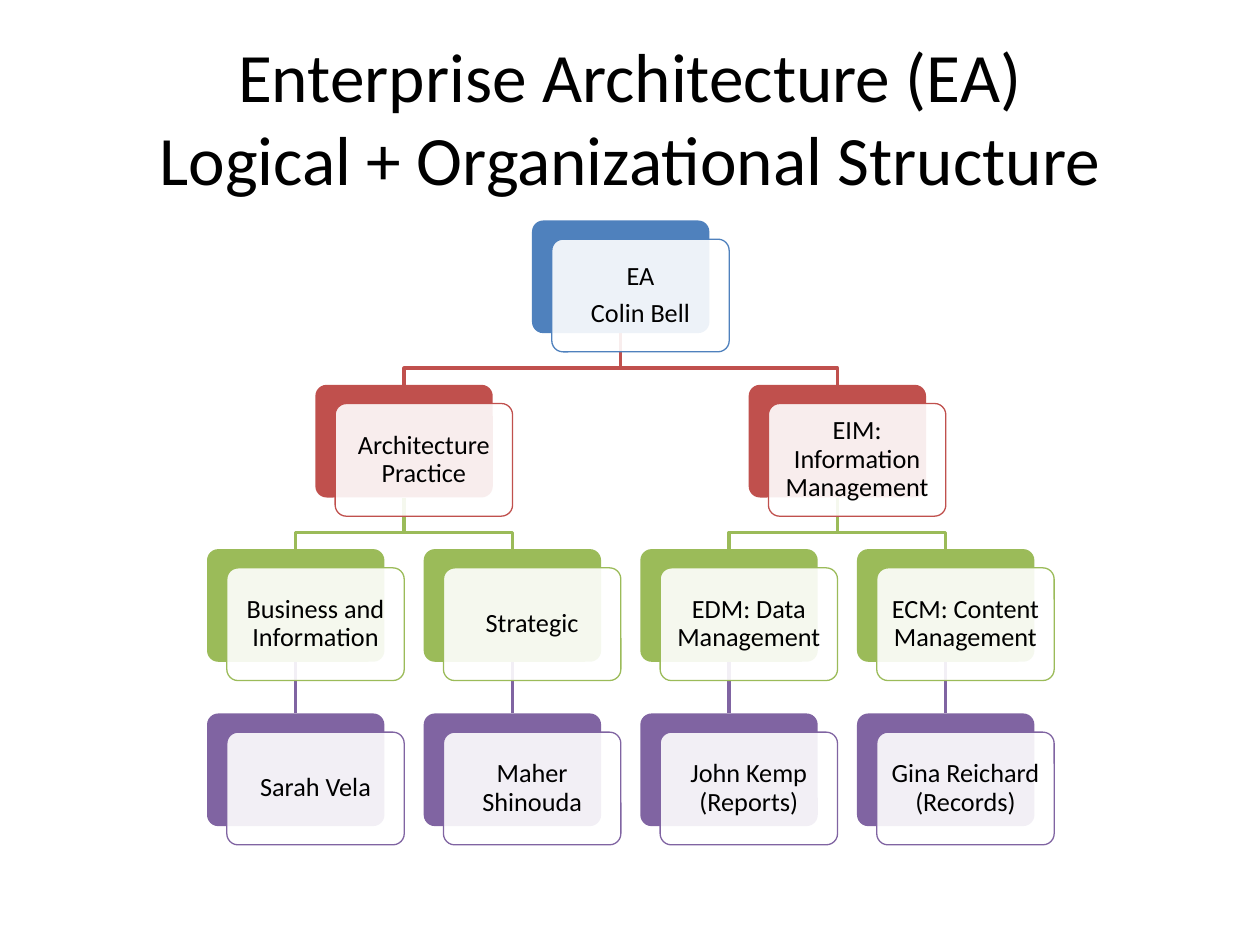
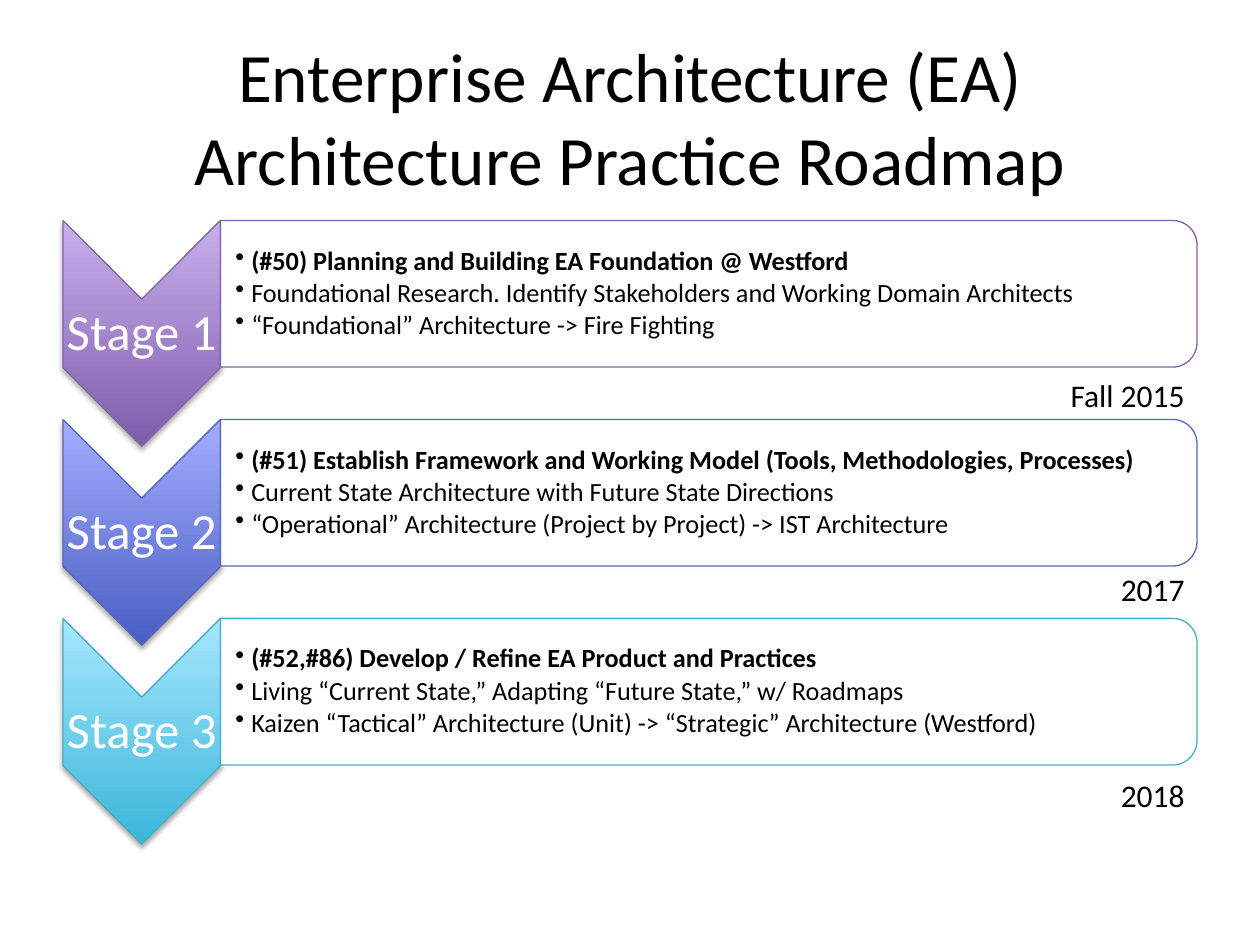
from lxml import etree
from pptx import Presentation
from pptx.dml.color import RGBColor
from pptx.enum.shapes import MSO_CONNECTOR, MSO_SHAPE
from pptx.enum.text import MSO_ANCHOR, PP_ALIGN
from pptx.oxml.ns import qn
from pptx.util import Pt

FONT = "Calibri"
BLACK, WHITE = "000000", "FFFFFF"
TITLE_TOP_LINE = "Enterprise Architecture (EA)"

STRUCTURE_TITLE = [TITLE_TOP_LINE, "Logical + Organizational Structure"]
LEVEL_COLORS = ["4F81BD", "C0504D", "9BBB59", "8064A2"]
ORGANIZATION = (["EA", "Colin Bell"], [
    (["Architecture Practice"], [
        (["Business and Information"], [(["Sarah Vela"], [])]),
        (["Strategic"], [(["Maher Shinouda"], [])]),
    ]),
    (["EIM: Information Management"], [
        (["EDM: Data Management"], [(["John Kemp (Reports)"], [])]),
        (["ECM: Content Management"], [(["Gina Reichard (Records)"], [])]),
    ]),
])

ROADMAP_TITLE = [TITLE_TOP_LINE, "Architecture Practice Roadmap"]
STAGES = [
    dict(name="Stage 1", date="Fall 2015", date_top=211.5,
         dark="7F5BAB", light="C8B0ED", edge="8064A2", points=[
             "(#50) Planning and Building EA Foundation @ Westford",
             "Foundational Research. Identify Stakeholders and Working Domain Architects",
             "“Foundational” Architecture -> Fire Fighting"]),
    dict(name="Stage 2", date="2017", date_top=322.3,
         dark="495EC2", light="A2ADFF", edge="5767B4", points=[
             "(#51) Establish Framework and Working Model (Tools, Methodologies, Processes)",
             "Current State Architecture with Future State Directions",
             "“Operational” Architecture (Project by Project) -> IST Architecture"]),
    dict(name="Stage 3", date="2018", date_top=440,
         dark="39B7D8", light="A7E6FF", edge="4BACC6", points=[
             "(#52,#86) Develop / Refine EA Product and Practices",
             "Living “Current State,” Adapting “Future State,” w/ Roadmaps",
             "Kaizen “Tactical” Architecture (Unit) -> “Strategic” Architecture (Westford)"]),
]

TREE_LEFT, TREE_TOP = 118.3, 126
CARD_W, CARD_H = 101.4, 64.4
COLUMN_STEP, LEVEL_STEP = 123.8, 93.9
FRONT_DX, FRONT_DY = 11.3, 10.7
BRANCH_RISE = 9.5

STAGE_LEFT, STAGE_TOP, STAGE_STEP = 36, 126, 113.7
CHEVRON_W, CHEVRON_H = 90, 129
PANEL_W, PANEL_H = 558, 83.8
DATE_RIGHT, DATE_W = 684, 81


def rgb(color):
    return RGBColor.from_string(color)


def paint(shape, fill, edge=None, opacity=100):
    shape.shadow.inherit = False
    shape.fill.solid()
    shape.fill.fore_color.rgb = rgb(fill)
    if opacity < 100:
        tint = shape._element.spPr.find(qn("a:solidFill"))[0]
        etree.SubElement(tint, qn("a:alpha"), val=str(opacity * 1000))
    outline(shape, edge)


def outline(shape, edge, width=0.75):
    if edge:
        shape.line.color.rgb = rgb(edge)
        shape.line.width = Pt(width)
    else:
        shape.line.fill.background()


def write(paragraph, text, size, color=BLACK, bold=False):
    run = paragraph.add_run()
    run.text = text
    run.font.name, run.font.size, run.font.bold = FONT, Pt(size), bold
    run.font.color.rgb = rgb(color)


def frame_of(shape, insets, anchor=MSO_ANCHOR.MIDDLE):
    frame = shape.text_frame
    frame.word_wrap = True
    frame.vertical_anchor = anchor
    (frame.margin_left, frame.margin_top,
     frame.margin_right, frame.margin_bottom) = map(Pt, insets)
    return frame


def text_box(slide, left, top, width, height, insets=(7.2, 3.6, 7.2, 3.6), anchor=MSO_ANCHOR.MIDDLE):
    box = slide.shapes.add_textbox(Pt(left), Pt(top), Pt(width), Pt(height))
    return frame_of(box, insets, anchor)


def paragraphs(frame, lines, align, after):
    for index, line in enumerate(lines):
        paragraph = frame.add_paragraph() if index else frame.paragraphs[0]
        paragraph.alignment = align
        paragraph.line_spacing = 0.9
        paragraph.space_after = Pt(after)
        yield index, line, paragraph


def titled_slide(deck, title):
    slide = deck.slides.add_slide(deck.slide_layouts[6])
    heading = text_box(slide, 36, 21.6, 648, 90).paragraphs[0]
    heading.alignment = PP_ALIGN.CENTER
    write(heading, title[0], 39.6)
    heading.add_line_break()
    write(heading, title[1], 39.6)
    return slide


def place(node, cards, branches, level=0, first_column=0):
    lines, children = node
    columns, next_column = [], first_column
    for child in children:
        column, next_column = place(child, cards, branches, level + 1, next_column)
        columns.append(column)
    if columns:
        column = (columns[0] + columns[-1]) / 2
    else:
        column, next_column = first_column, first_column + 1
    branches.extend((level, column, child_column) for child_column in columns)
    cards.append((level, column, lines))
    return column, next_column


def draw_branch(slide, level, column, child_column):
    start_x, end_x = (TREE_LEFT + c * COLUMN_STEP + CARD_W / 2 for c in (column, child_column))
    start_y = TREE_TOP + level * LEVEL_STEP + CARD_H
    end_y = TREE_TOP + (level + 1) * LEVEL_STEP
    if start_x == end_x:
        branch = slide.shapes.add_connector(
            MSO_CONNECTOR.STRAIGHT, Pt(start_x), Pt(start_y), Pt(end_x), Pt(end_y))
        etree.SubElement(branch._element.spPr, qn("a:effectLst"))
    else:
        bend_y = end_y - BRANCH_RISE
        builder = slide.shapes.build_freeform(Pt(start_x), Pt(start_y))
        corners = [(start_x, bend_y), (end_x, bend_y), (end_x, end_y)]
        builder.add_line_segments([(Pt(x), Pt(y)) for x, y in corners], close=False)
        branch = builder.convert_to_shape()
        branch.shadow.inherit = False
        branch.fill.background()
    outline(branch, LEVEL_COLORS[level + 1], 2)


def draw_card(slide, level, column, lines):
    left = TREE_LEFT + column * COLUMN_STEP
    top = TREE_TOP + level * LEVEL_STEP
    color = LEVEL_COLORS[level]
    back, front = (
        slide.shapes.add_shape(MSO_SHAPE.ROUNDED_RECTANGLE,
                               Pt(left + dx), Pt(top + dy), Pt(CARD_W), Pt(CARD_H))
        for dx, dy in ((0, 0), (FRONT_DX, FRONT_DY)))
    back.adjustments[0] = front.adjustments[0] = 0.1
    paint(back, color)
    paint(front, WHITE, color, opacity=90)
    label = frame_of(front, (4.3,) * 4)
    for _, line, paragraph in paragraphs(label, lines, PP_ALIGN.CENTER, 5.25):
        write(paragraph, line, 15)


def turned_shape(slide, kind, left, top, width, height):
    shape = slide.shapes.add_shape(
        kind, Pt(left + (width - height) / 2), Pt(top + (height - width) / 2),
        Pt(height), Pt(width))
    shape.rotation = 90
    return shape


def draw_chevron(slide, top, stage):
    chevron = turned_shape(slide, MSO_SHAPE.CHEVRON, STAGE_LEFT, top, CHEVRON_W, CHEVRON_H)
    chevron.shadow.inherit = False
    chevron.fill.gradient()
    chevron.fill.gradient_angle = 90
    for stop, color, position in zip(chevron.fill.gradient_stops,
                                     (stage["dark"], stage["light"]), (0, 1)):
        stop.color.rgb = rgb(color)
        stop.position = position
    outline(chevron, stage["edge"])
    properties = chevron._element.spPr
    properties.find(qn("a:gradFill")).set("rotWithShape", "0")
    shadow = etree.SubElement(
        properties.find(qn("a:effectLst")), qn("a:outerShdw"), blurRad=str(Pt(3.1)),
        dist=str(Pt(1.8)), dir="5400000", rotWithShape="0")
    shade = etree.SubElement(shadow, qn("a:srgbClr"), val=BLACK)
    etree.SubElement(shade, qn("a:alpha"), val="35000")
    label = text_box(slide, STAGE_LEFT, top + 45.2, CHEVRON_W, 39, (1.4,) * 4)
    for _, line, paragraph in paragraphs(label, [stage["name"]], PP_ALIGN.CENTER, 10.15):
        write(paragraph, line, 29, WHITE)


def draw_panel(slide, top, stage):
    left = STAGE_LEFT + CHEVRON_W
    panel = turned_shape(slide, MSO_SHAPE.ROUND_2_SAME_RECTANGLE, left, top, PANEL_W, PANEL_H)
    paint(panel, WHITE, stage["edge"], opacity=90)
    points = text_box(slide, left, top + 4.1, PANEL_W - 4.1, PANEL_H - 8.2, (8.6, 0.7, 0.7, 0.7))
    for index, line, paragraph in paragraphs(points, stage["points"], PP_ALIGN.LEFT, 2.25):
        properties = paragraph._p.get_or_add_pPr()
        properties.set("marL", str(Pt(9)))
        properties.set("indent", str(Pt(-9)))
        etree.SubElement(properties, qn("a:buChar"), char="•")
        write(paragraph, line, 15, bold=index == 0)


def draw_date(slide, stage):
    date = text_box(slide, DATE_RIGHT - DATE_W, stage["date_top"], DATE_W, 29,
                    anchor=MSO_ANCHOR.TOP).paragraphs[0]
    date.alignment = PP_ALIGN.RIGHT
    write(date, stage["date"], 18)


def main():
    deck = Presentation()
    deck.slide_width, deck.slide_height = Pt(720), Pt(540)

    structure = titled_slide(deck, STRUCTURE_TITLE)
    cards, branches = [], []
    place(ORGANIZATION, cards, branches)
    for branch in sorted(branches, reverse=True):
        draw_branch(structure, *branch)
    for card in cards:
        draw_card(structure, *card)

    roadmap = titled_slide(deck, ROADMAP_TITLE)
    for index, stage in enumerate(STAGES):
        top = STAGE_TOP + index * STAGE_STEP
        draw_chevron(roadmap, top, stage)
        draw_panel(roadmap, top, stage)
        draw_date(roadmap, stage)

    deck.save("out.pptx")


if __name__ == "__main__":
    main()
